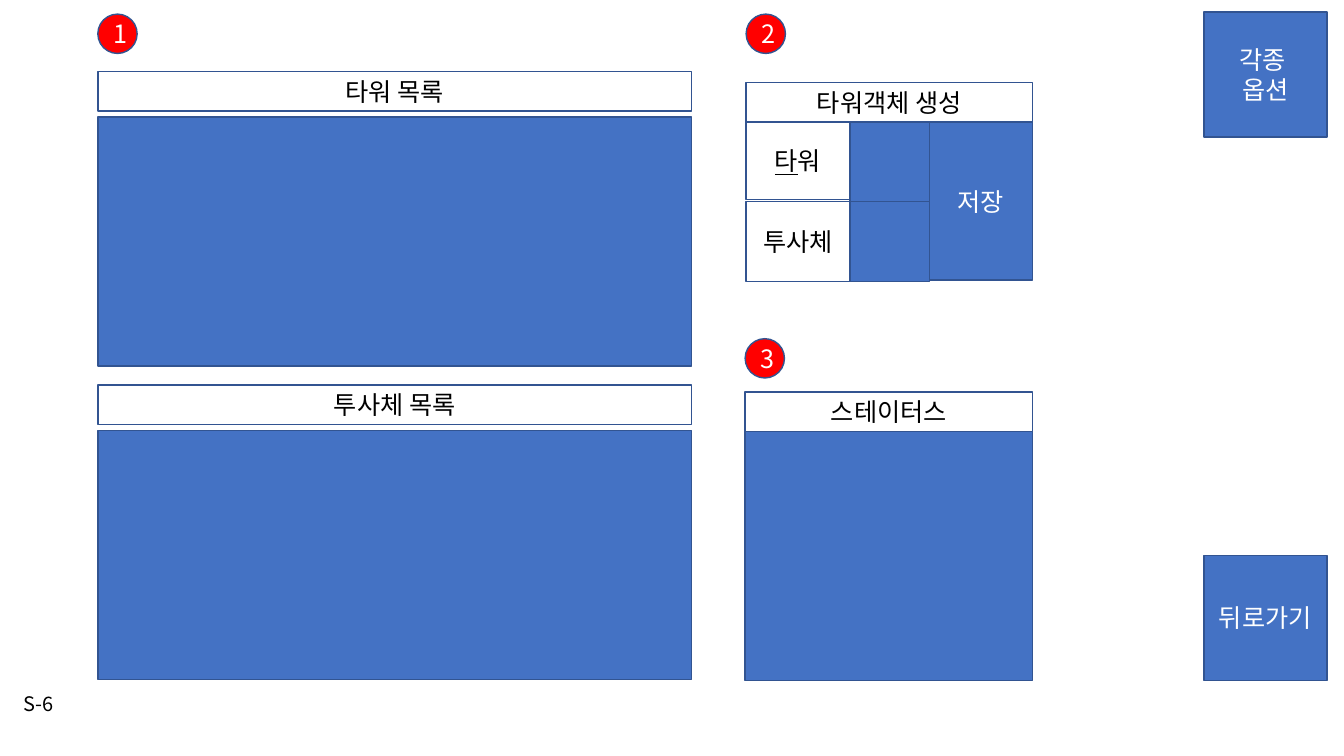
from pptx import Presentation
from pptx.dml.color import RGBColor
from pptx.enum import shapes, text
from pptx.oxml import ns
from pptx.util import Inches, Pt
from lxml import etree

BLUE = RGBColor(0x44, 0x72, 0xC4)
EDGE = RGBColor(0x32, 0x54, 0x91)
RED = RGBColor(0xFF, 0, 0)
WHITE = RGBColor(0xFF, 0xFF, 0xFF)
BLACK = RGBColor(0, 0, 0)
FACE = "Noto Sans CJK KR"
RECT = shapes.MSO_SHAPE.RECTANGLE
OVAL = shapes.MSO_SHAPE.OVAL

deck = Presentation()
deck.slide_width, deck.slide_height = Inches(13.33), Inches(7.5)
slide = deck.slides.add_slide(deck.slide_layouts[6])


def write(para, words, color, size=18):
    para.alignment = text.PP_ALIGN.CENTER
    run = para.add_run()
    run.text = words
    style = {"name": FACE, "size": Pt(size)}
    for key, value in style.items():
        setattr(run.font, key, value)
    run.font.color.rgb = color
    east = etree.SubElement(run.font._element, ns.qn("a:ea"))
    east.set("typeface", FACE)
    return run


def block(kind, box, fill, lines=()):
    shape = slide.shapes.add_shape(kind, *map(Inches, box))
    shape.shadow.inherit = False
    shape.fill.solid()
    shape.fill.fore_color.rgb = fill
    shape.line.color.rgb = EDGE
    shape.line.width = Pt(1)
    frame = shape.text_frame
    frame.word_wrap = True
    frame.vertical_anchor = text.MSO_ANCHOR.MIDDLE
    color = BLACK if fill == WHITE else WHITE
    for i, words in enumerate(lines):
        para = frame.add_paragraph() if i else frame.paragraphs[0]
        write(para, words, color)
    return frame


for top, lines in [(0.12, ["각종 ", "옵션"]), (5.51, ["뒤로가기"])]:
    block(RECT, (11.94, top, 1.22, 1.24), BLUE, lines)

label = slide.shapes.add_textbox(*map(Inches, (0.12, 6.88, 0.52, 0.47))).text_frame
label.word_wrap = True
label.vertical_anchor = text.MSO_ANCHOR.TOP
label.paragraphs[0].line_spacing = 0.7
write(label.paragraphs[0], "S-6", BLACK, 14.3)

panels = [
    (0.97, 0.71, 5.89, 0.45, "타워 목록"),
    (0.97, 3.82, 5.89, 0.45, "투사체 목록"),
    (7.39, 3.89, 2.85, 0.39, "스테이터스"),
]
for left, top, width, step, title in panels:
    block(RECT, (left, top + step, width, 2.47), BLUE)
    block(RECT, (left, top, width, 0.39), WHITE, [title])

block(RECT, (9.21, 1.21, 1.03, 1.57), BLUE, ["저장"])
for top in (1.21, 2):
    block(RECT, (8.43, top, 0.79, 0.79), BLUE)
tower = block(RECT, (7.4, 1.21, 1.03, 0.77), WHITE, ["타"])
tower.paragraphs[0].runs[0].font.underline = True
write(tower.paragraphs[0], "워", BLACK)
block(RECT, (7.4, 2, 1.03, 0.79), WHITE, ["투사체"])
block(RECT, (7.4, 0.82, 2.84, 0.39), WHITE, ["타워객체 생성"])

for mark, left, top in [("1", 0.97, 0.14), ("2", 7.4, 0.14), ("3", 7.39, 3.36)]:
    block(OVAL, (left, top, 0.39, 0.39), RED, [mark])

deck.save("out.pptx")
